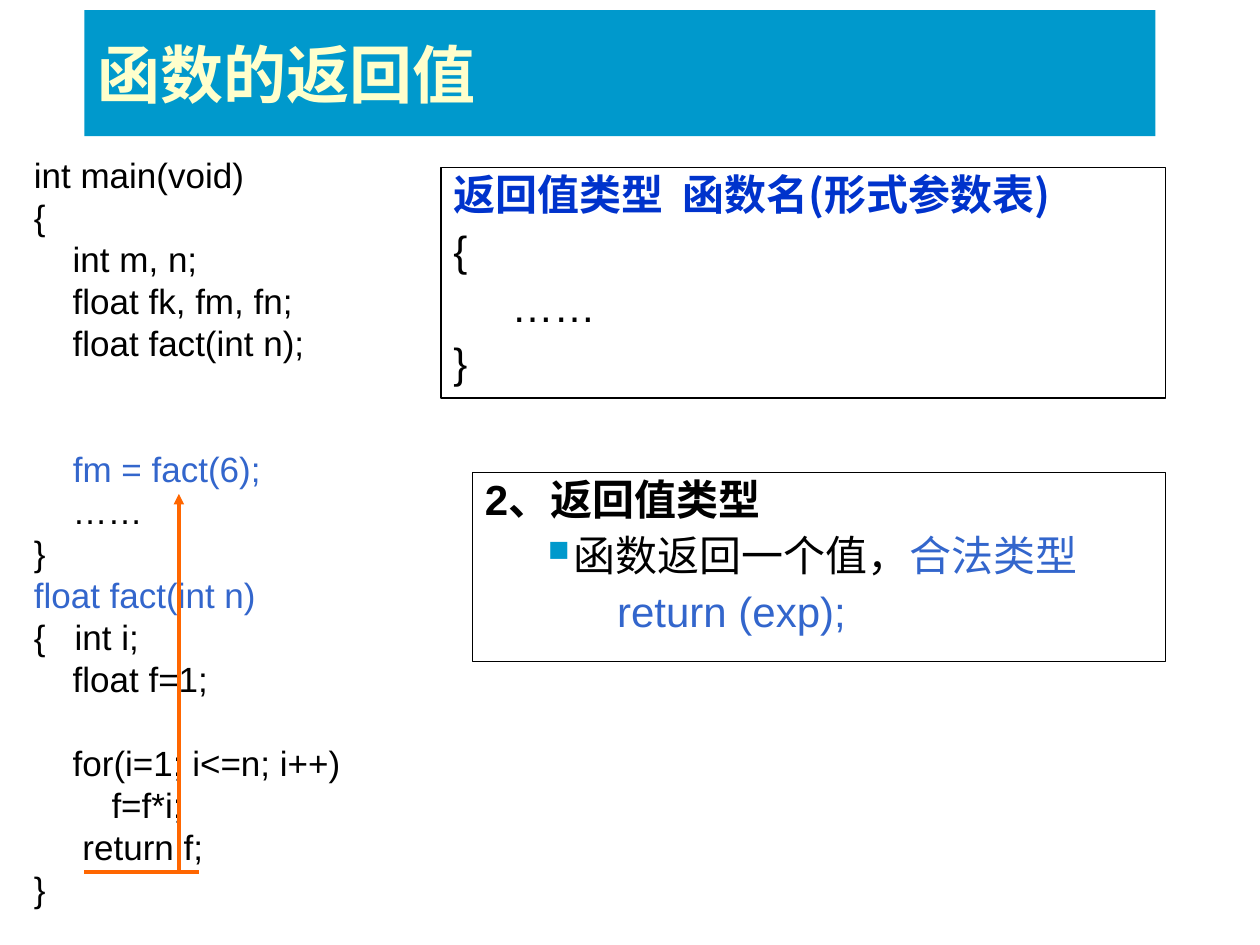
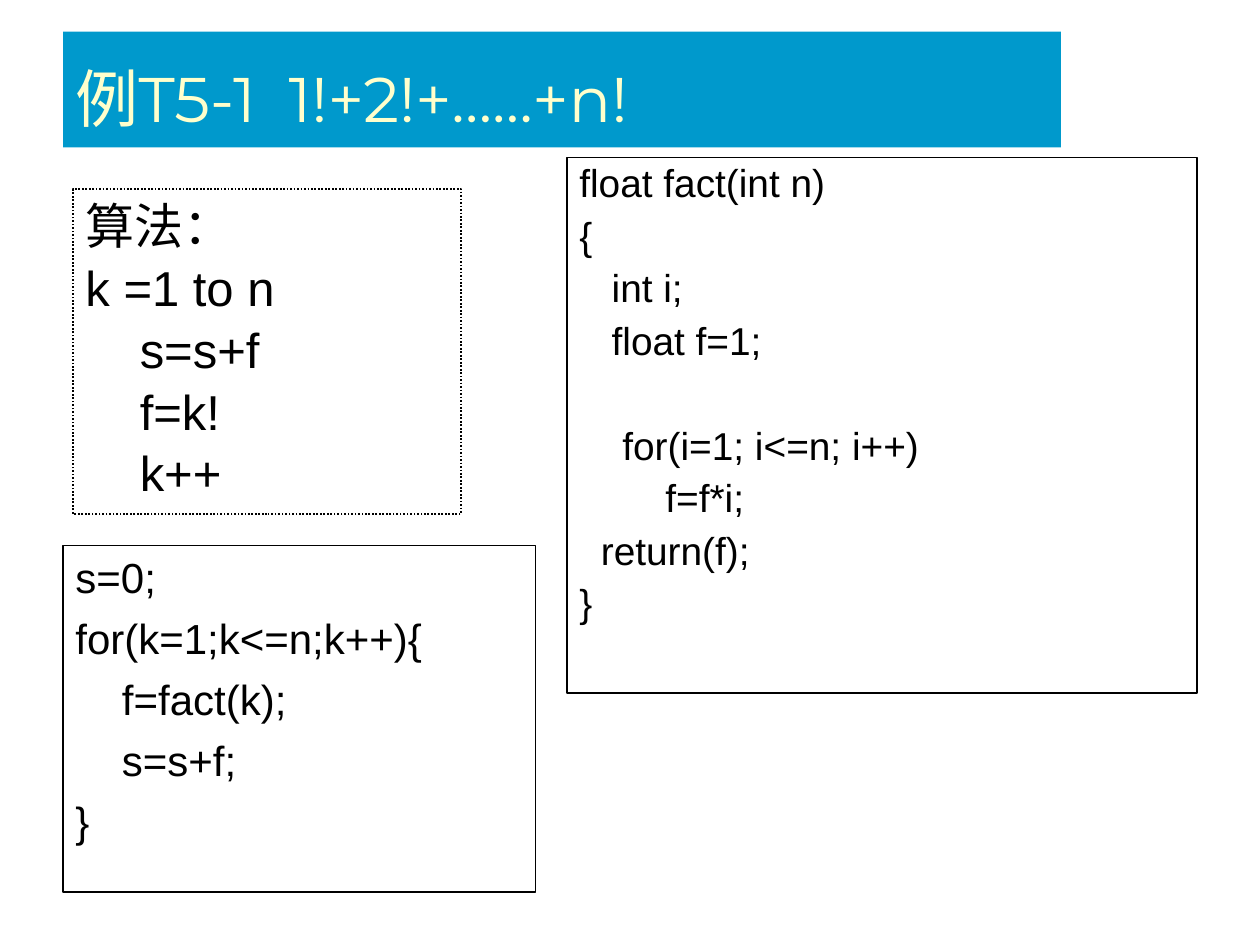
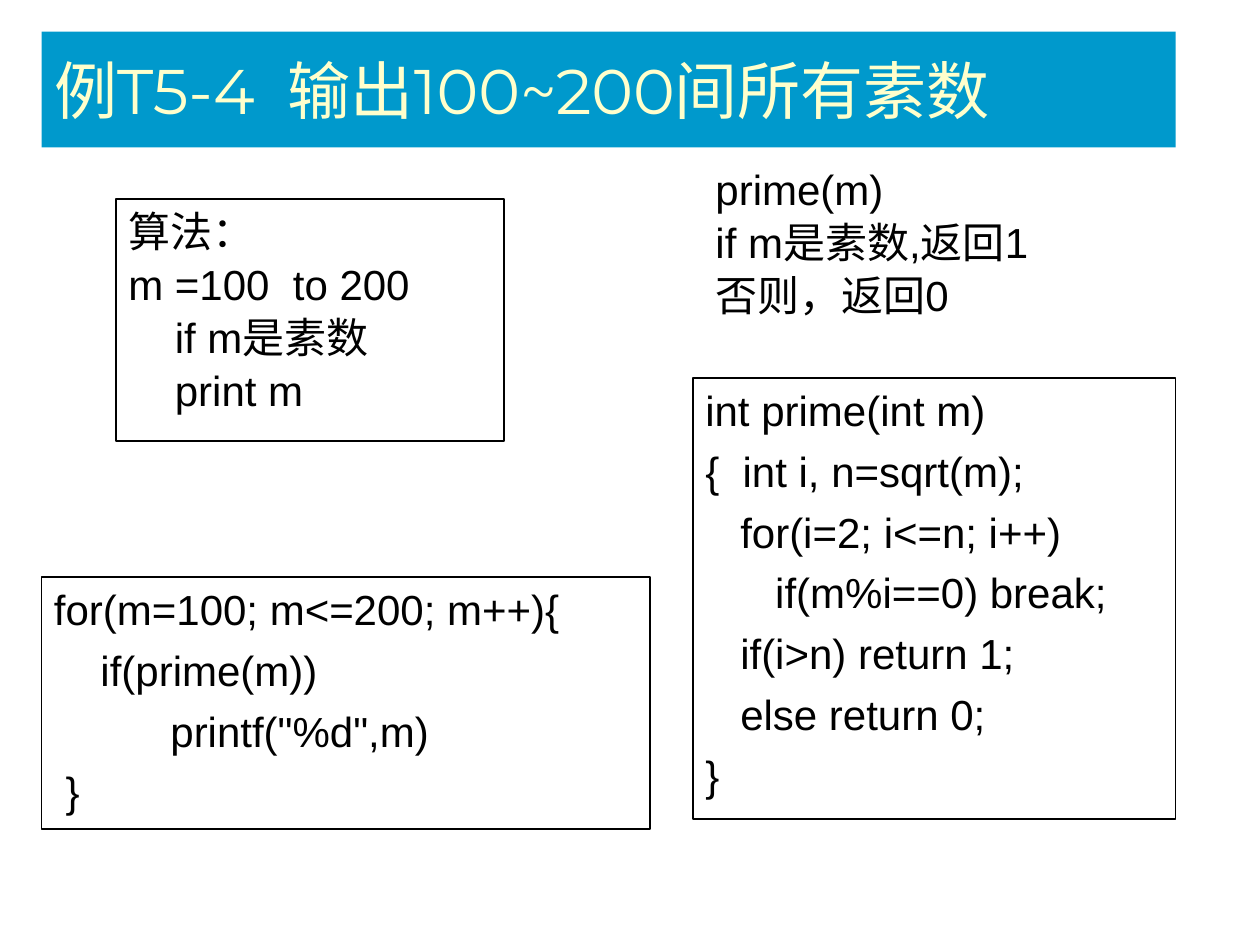
from lxml.etree import SubElement
from pptx import Presentation
from pptx.dml.color import RGBColor
from pptx.enum.dml import MSO_LINE
from pptx.enum.shapes import MSO_CONNECTOR
from pptx.enum.text import MSO_ANCHOR, PP_ALIGN
from pptx.oxml.ns import qn
from pptx.util import Inches, Pt

BAND = RGBColor(0x00, 0x99, 0xCC)
CREAM = RGBColor(0xFF, 0xFF, 0xCC)
BLACK = RGBColor(0x00, 0x00, 0x00)
ACCENT = RGBColor(0x33, 0x66, 0xCC)
SIGNATURE = RGBColor(0x00, 0x33, 0xCC)
ARROW = RGBColor(0xFF, 0x66, 0x00)

LATIN = "Arial"
HEADING = "Montserrat"
HAN = "Noto Sans CJK SC"
LINE_RATIO = 1.2
TITLE_ONLY = 5


def style_run(run, size, color=BLACK, bold=False, name=LATIN):
    run.font.size = Pt(size)
    run.font.bold = bold
    run.font.name = name
    run.font.color.rgb = color
    SubElement(run.font._element, qn("a:ea"), typeface=HAN)


def add_titled_slide(deck, text, box, bold=False, spacing=1.0):
    slide = deck.slides.add_slide(deck.slide_layouts[TITLE_ONLY])
    title = slide.shapes.title
    title.left, title.top, title.width, title.height = map(Inches, box)
    title.fill.solid()
    title.fill.fore_color.rgb = BAND
    title.text_frame.text = text
    title.text_frame.vertical_anchor = MSO_ANCHOR.MIDDLE
    title.text_frame.word_wrap = True
    heading = title.text_frame.paragraphs[0]
    heading.alignment = PP_ALIGN.LEFT
    heading.line_spacing = spacing
    style_run(heading.runs[0], 36, CREAM, bold, HEADING)
    return slide


def add_lines(slide, box, lines, size=24, gap=6, tight=1.0, border=1, dash=None):
    """Empty entries in lines become space before the next line."""
    panel = slide.shapes.add_textbox(*map(Inches, box))
    if border:
        panel.line.color.rgb = BLACK
        panel.line.width = Pt(border)
        if dash:
            panel.line.dash_style = dash
    frame = panel.text_frame
    frame.word_wrap = True
    pitch = size * LINE_RATIO * tight
    skipped = 0
    for line in lines:
        if not line:
            skipped += 1
            continue
        first = line is lines[0]
        paragraph = frame.paragraphs[0] if first else frame.add_paragraph()
        paragraph.line_spacing = Pt(pitch)
        paragraph.space_before = Pt(0 if first else gap + skipped * (pitch + gap))
        skipped = 0
        for text, color in [(line, BLACK)] if isinstance(line, str) else line:
            run = paragraph.add_run()
            run.text = text
            style_run(run, size, color)
    return frame.paragraphs


def indent(paragraph, margin, hanging, bullet=None):
    properties = paragraph._p.get_or_add_pPr()
    properties.set("marL", str(Inches(margin)))
    properties.set("indent", str(-Inches(hanging)))
    if bullet:
        color = SubElement(properties, qn("a:buClr"))
        SubElement(color, qn("a:srgbClr"), val=str(BAND))
        SubElement(properties, qn("a:buSzPct"), val="70000")
        SubElement(properties, qn("a:buChar"), char=bullet)


def add_stroke(slide, start, end, arrow=False):
    stroke = slide.shapes.add_connector(
        MSO_CONNECTOR.STRAIGHT, *map(Inches, (*start, *end)))
    stroke.line.color.rgb = ARROW
    stroke.line.width = Pt(2)
    if arrow:
        SubElement(stroke.line._get_or_add_ln(), qn("a:tailEnd"), type="triangle")
    SubElement(stroke._element.spPr, qn("a:effectLst"))


def add_return_trace(slide, left, top, width, height):
    base = top + height
    stem = left + 0.75
    add_stroke(slide, (stem, base), (stem, top), arrow=True)
    add_stroke(slide, (left, base), (left + width, base))


def build_return_value(deck):
    slide = add_titled_slide(deck, "函数的返回值", (0.67, 0.08, 8.5, 1), bold=True)
    form = add_lines(slide, (3.5, 1.33, 5.75, 1.83), [
        "返回值类型  函数名(形式参数表)",
        "{",
        "     ……",
        "}",
    ], tight=0.9, border=0.75)
    signature = form[0].runs[0].font
    signature.name = HAN
    signature.bold = True
    signature.color.rgb = SIGNATURE

    add_lines(slide, (0.17, 1.17, 3.75, 6.11), [
        "int main(void)",
        "{",
        "    int m, n;",
        "    float fk, fm, fn;",
        "    float fact(int n);",
        "",
        "",
        [("    ", BLACK), ("fm = fact(6);", ACCENT)],
        "    ……",
        "}",
        [("float fact(int n)", ACCENT)],
        "{   int i;",
        "    float f=1;",
        "",
        "    for(i=1; i<=n; i++)",
        "        f=f*i;",
        "     return f;",
        "}",
    ], size=20, gap=0, border=0)

    topic, rule, statement = add_lines(slide, (3.75, 3.75, 5.5, 1.5), [
        "2、返回值类型",
        [("函数返回一个值，", BLACK), ("合法类型", ACCENT)],
        [("return (exp);", ACCENT)],
    ], tight=0.9, border=0.75)
    topic.runs[0].font.bold = True
    indent(rule, 0.7, 0.2, "■")
    indent(statement, 1.3, 0.25)
    add_return_trace(slide, 0.67, 3.92, 0.91, 3)


def build_factorial_sum(deck):
    slide = add_titled_slide(
        deck, "例T5-1  1!+2!+……+n!", (0.5, 0.25, 7.92, 0.92), spacing=1.2)
    add_lines(slide, (0.58, 1.5, 3.08, 2.58), [
        "算法：",
        "k =1 to n",
        "    s=s+f",
        "    f=k!",
        "    k++",
    ], size=28, gap=1.8, dash=MSO_LINE.ROUND_DOT)
    add_lines(slide, (0.5, 4.33, 3.75, 2.75), [
        "s=0;",
        "for(k=1;k<=n;k++){",
        "    f=fact(k);",
        "    s=s+f;",
        "}",
    ])
    add_lines(slide, (4.5, 1.25, 5, 4.25), [
        "float fact(int n)",
        "{",
        "   int i;",
        "   float f=1;",
        "",
        "    for(i=1; i<=n; i++)",
        "        f=f*i;",
        "  return(f);",
        "}",
    ], size=22.2, tight=0.9)


def build_primes(deck):
    slide = add_titled_slide(
        deck, "例T5-4  输出100~200间所有素数", (0.33, 0.25, 9, 0.92))
    add_lines(slide, (0.92, 1.58, 3.08, 1.92), [
        "算法：",
        "m =100  to 200",
        "    if m是素数",
        "    print m",
    ], gap=1.5)
    add_lines(slide, (5.5, 3, 3.83, 3.5), [
        "int prime(int m)",
        "{  int i, n=sqrt(m);",
        "   for(i=2; i<=n; i++)",
        "      if(m%i==0) break;",
        "   if(i>n) return 1;",
        "   else return 0;",
        "}",
    ])
    add_lines(slide, (0.33, 4.58, 4.83, 2), [
        "for(m=100; m<=200; m++){",
        "    if(prime(m))",
        "          printf(\"%d\",m)",
        " }",
    ])
    add_lines(slide, (5.58, 1.25, 3.42, 1.42), [
        "prime(m)",
        "if m是素数,返回1",
        "否则，返回0",
    ], gap=1.5, border=0)


def main():
    deck = Presentation()
    deck.slide_width, deck.slide_height = Inches(10), Inches(7.5)
    build_return_value(deck)
    build_factorial_sum(deck)
    build_primes(deck)
    deck.save("out.pptx")


if __name__ == "__main__":
    main()
